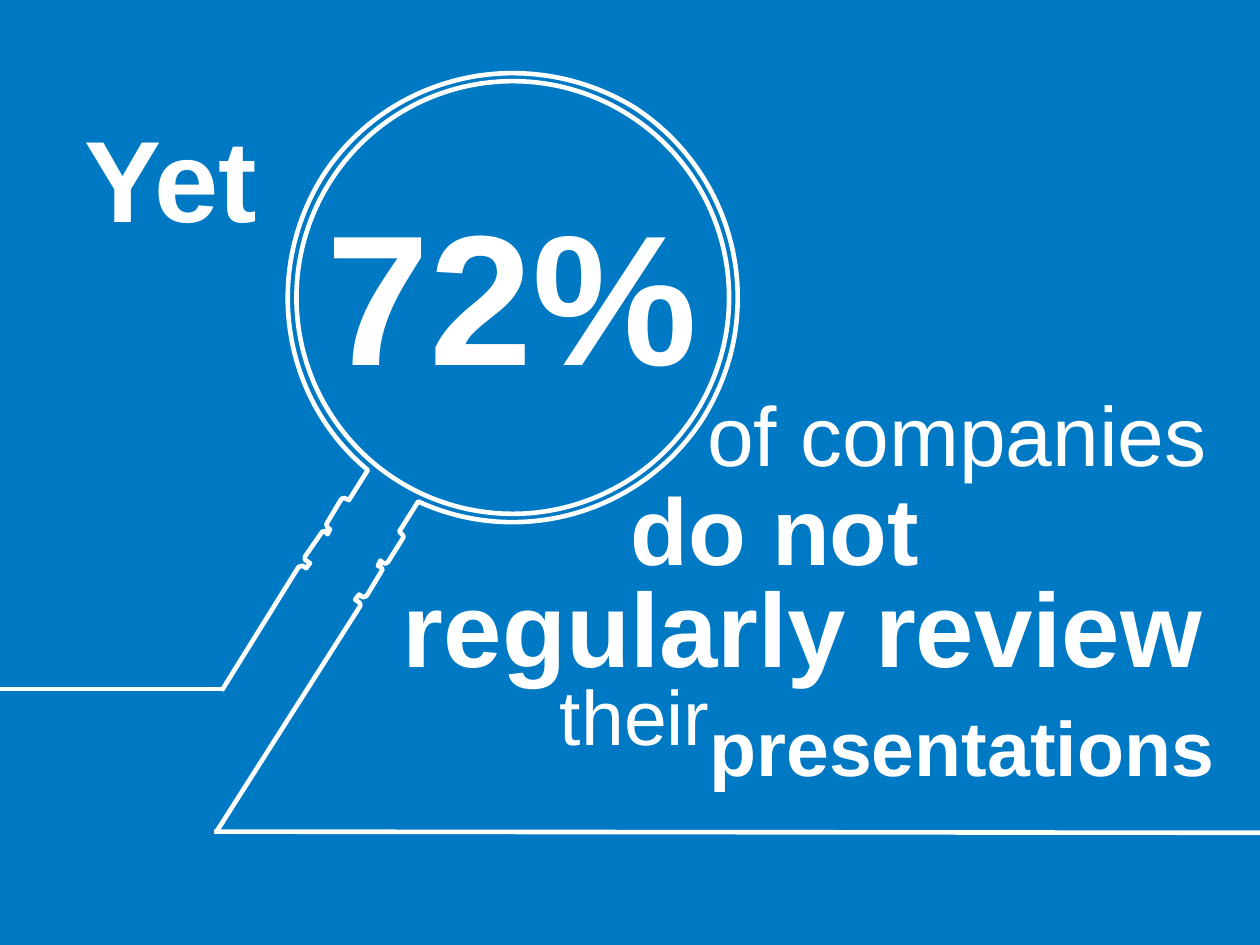
from lxml.etree import SubElement
from pptx import Presentation
from pptx.dml.color import RGBColor
from pptx.enum.shapes import MSO_CONNECTOR, MSO_SHAPE
from pptx.enum.text import MSO_ANCHOR, PP_ALIGN
from pptx.oxml.ns import qn
from pptx.util import Pt

COLORS = {"back": "0079C5", "ink": "FFFFFF"}
LENS, GLASS = (293, 170), 123.6

# Each outline is a start point, then lines (x, y) and curves (two controls, end).
LEFT_EDGE = [
    (293, 41.8),
    (250.6, 41.8, 208.8, 62.6, 184.3, 100.8),
    (149.8, 156.2, 161.3, 228.2, 210.2, 268.6),
    (199.4, 285.8), (198, 285.1),
    (197.3, 284.4, 195.8, 284.4, 195.1, 285.1),
    (186.5, 299.5),
    (186.5, 300.2, 186.5, 301, 187.2, 301.7),
    (188.6, 302.4), (187.2, 305.3), (185.8, 303.8),
    (185, 303.1, 183.6, 303.8, 183.6, 304.6),
    (174.2, 318.2),
    (174.2, 319.7, 174.2, 320.4, 175, 320.4),
    (177.1, 321.8), (175, 324.7), (172.8, 323.3),
    (172.1, 323.3, 171.4, 323.3, 170.6, 324),
    (126.7, 394.6),
]
TOP_ARC = [
    (421.2, 180),
    (424.8, 133.9, 403.2, 87.8, 362.2, 61.2),
    (340.6, 48.2, 316.8, 41.8, 293, 41.8),
]
RIGHT_EDGE = [
    (123.8, 475.2), (205.9, 346.3),
    (205.9, 345.6, 205.9, 344.2, 205.2, 344.2),
    (203, 342.7), (205.2, 339.8), (207.4, 341.3),
    (208.1, 341.3, 208.8, 341.3, 209.5, 340.6),
    (218.2, 326.2),
    (218.9, 326.2, 218.9, 324.7, 217.4, 324),
    (216, 323.3), (217.4, 320.4), (218.9, 321.8),
    (220.3, 322.6, 221, 321.8, 221.8, 321.1),
    (230.4, 307.4),
    (231.1, 306.7, 230.4, 306, 229.7, 305.3),
    (228.2, 303.8), (239, 286.6),
    (296.6, 313.2, 366.5, 293.8, 401.8, 239),
    (413.3, 220.3, 419.8, 200.2, 421.2, 180),
]
# text, left, top, width, height, size, bold
WORDS = [
    ("72%", 169.2, 115.2, 247, 103, 106, True),
    ("Yet", -7.9, 49, 211, 103, 66, True),
    ("of companies", 380.2, 195.8, 333.4, 103, 48, False),
    ("do not", 315.4, 267.1, 254.9, 68.4, 54, True),
    ("regularly review", 197.3, 322.6, 522.7, 69.1, 60, True),
    ("their", 235.4, 374.4, 254.9, 68.4, 44, False),
    ("presentations", 394.6, 391.7, 310.3, 68.4, 44, True),
]


class Board:
    font = "Arial"
    weight = 2.64

    def __init__(self, slide):
        self.slide = slide
        self.ink = RGBColor.from_string(COLORS["ink"])
        fill = slide.background.fill
        fill.solid()
        fill.fore_color.rgb = RGBColor.from_string(COLORS["back"])

    def stroke(self, shape):
        shape.line.color.rgb = self.ink
        shape.line.width = Pt(self.weight)

    def hollow(self, shape):
        shape.shadow.inherit = False
        shape.fill.background()
        self.stroke(shape)

    def circle(self, center, radius):
        left, top = (Pt(c - radius) for c in center)
        side = Pt(2 * radius)
        self.hollow(self.slide.shapes.add_shape(MSO_SHAPE.OVAL, left, top, side, side))

    def outline(self, start, *steps):
        """Draw every point as a line end, then join each curve's three into one."""
        pen = self.slide.shapes.build_freeform(*map(Pt, start))
        for step in steps:
            ends = [Pt(n) for n in step]
            pen.add_line_segments(list(zip(ends[::2], ends[1::2])), close=False)
        shape = pen.convert_to_shape()
        lines = iter(list(shape._element.iter(qn("a:lnTo"))))
        for step in steps:
            head, *rest = [next(lines) for _ in range(len(step) // 2)]
            if rest:
                head.addprevious(curve := head.makeelement(qn("a:cubicBezTo")))
                for part in (head, *rest):
                    curve.append(part[0])
                    part.getparent().remove(part)
        self.hollow(shape)

    def line(self, *ends):
        line = self.slide.shapes.add_connector(MSO_CONNECTOR.STRAIGHT, *map(Pt, ends))
        self.stroke(line)
        SubElement(line._element.spPr, qn("a:effectLst"))

    def text(self, words, left, top, width, height, size, bold):
        box = self.slide.shapes.add_textbox(*map(Pt, (left, top, width, height)))
        frame = box.text_frame
        frame.word_wrap = True
        frame.vertical_anchor = MSO_ANCHOR.MIDDLE
        frame.text = words
        para = frame.paragraphs[0]
        para.alignment = PP_ALIGN.CENTER
        font = para.runs[0].font
        font.name, font.size, font.bold = self.font, Pt(size), bold
        font.color.rgb = self.ink


def main():
    deck = Presentation()
    deck.slide_width, deck.slide_height = Pt(720), Pt(540)
    board = Board(deck.slides.add_slide(deck.slide_layouts[6]))
    board.circle(LENS, GLASS)
    for edge in (LEFT_EDGE, TOP_ARC, RIGHT_EDGE):
        board.outline(*edge)
    board.line(122.4, 475.2, 720, 475.9)
    board.line(0, 393.8, 127.4, 393.8)
    for word in WORDS:
        board.text(*word)
    deck.save("out.pptx")


if __name__ == "__main__":
    main()
